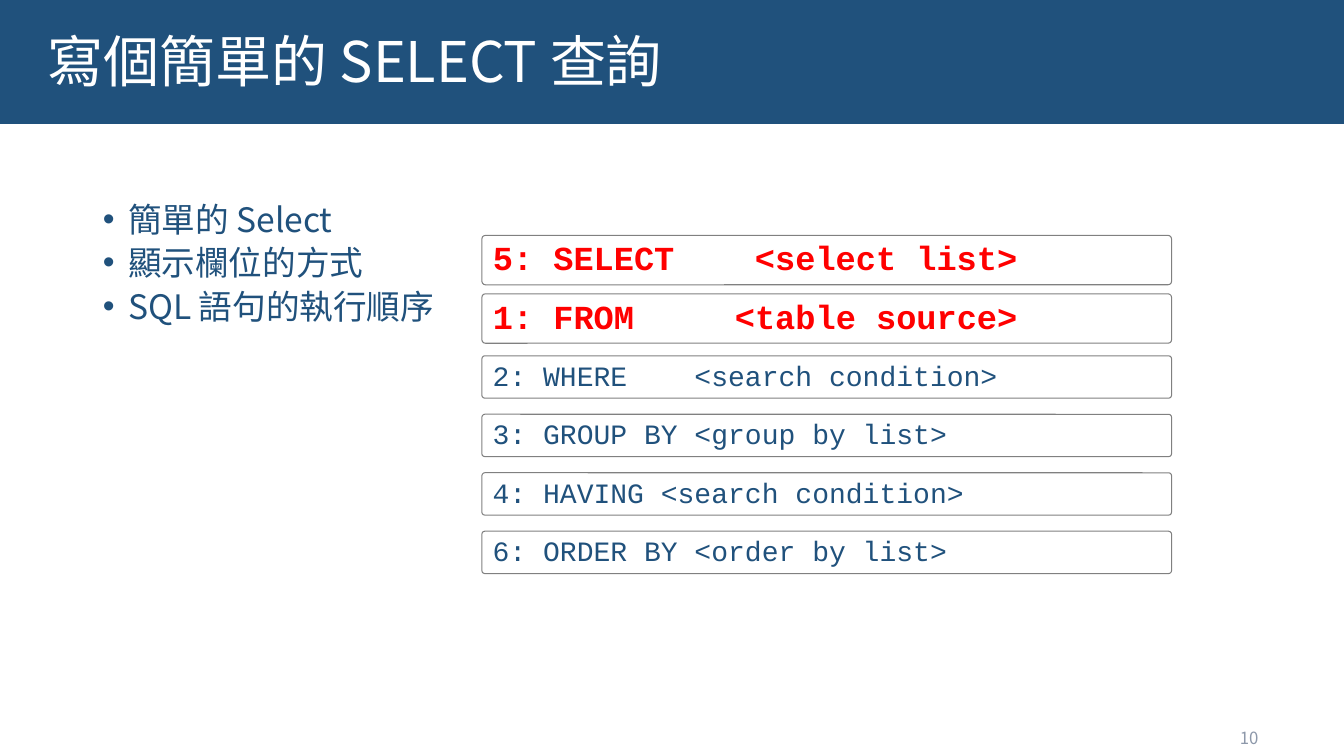
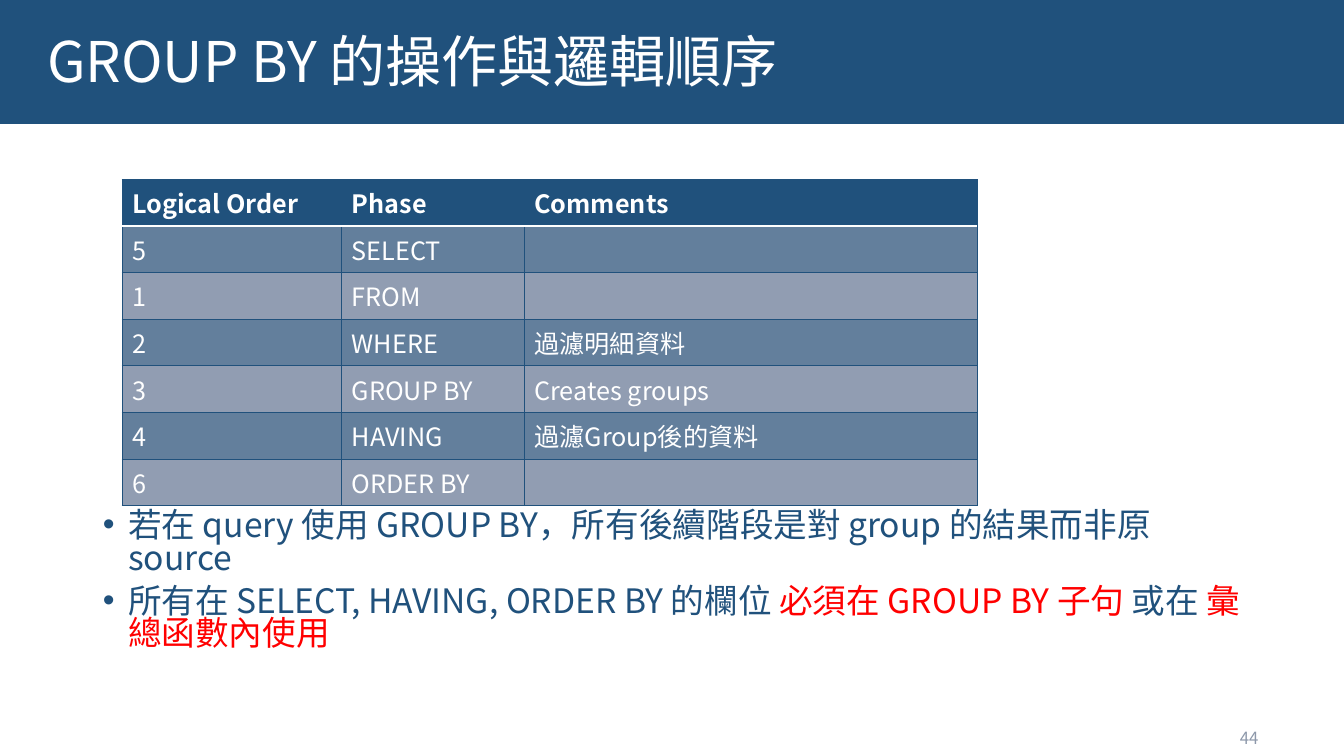
from lxml import etree
from pptx import Presentation
from pptx.dml.color import RGBColor
from pptx.enum.shapes import MSO_SHAPE
from pptx.enum.text import MSO_ANCHOR, MSO_AUTO_SIZE, PP_ALIGN
from pptx.oxml.ns import qn
from pptx.util import Inches, Pt

RECT, ROUNDED = MSO_SHAPE.RECTANGLE, MSO_SHAPE.ROUNDED_RECTANGLE
TOP, MIDDLE = MSO_ANCHOR.TOP, MSO_ANCHOR.MIDDLE
LEFT, RIGHT = PP_ALIGN.LEFT, PP_ALIGN.RIGHT
NO_AUTOFIT = MSO_AUTO_SIZE.NONE

# Shared look
FONT, CODE_FONT = "Noto Sans CJK SC", "Courier New"
NAVY, WHITE, RED = "20517C", "FFFFFF", "FF0000"
GRAY, PAGE_GRAY = "808080", "8D98AA"
ROW_DARK, ROW_LIGHT = "637F9C", "919DB2"
TIGHT_LINES = 0.8

CLAUSES = [
    "5: SELECT\t   <select list>",
    "1: FROM     <table source>",
    "2: WHERE    <search condition>",
    "3: GROUP BY <group by list>",
    "4: HAVING <search condition>",
    "6: ORDER BY <order by list>",
]
KEY_CLAUSES = 2

PHASES = [
    ("Logical Order", "Phase", "Comments"),
    ("5", "SELECT", ""),
    ("1", "FROM", ""),
    ("2", "WHERE", "過濾明細資料"),
    ("3", "GROUP BY", "Creates groups"),
    ("4", "HAVING", "過濾Group後的資料"),
    ("6", "ORDER BY", ""),
]

# Bullets are lists of (text, colour) parts
SELECT_POINTS = [
    [("簡單的 Select", NAVY)],
    [("顯示欄位的方式", NAVY)],
    [("SQL 語句的執行順序", NAVY)],
]
GROUP_POINTS = [
    [("若在 query 使用 GROUP BY，所有後續階段是對 group 的結果而非原source", NAVY)],
    [("所有在 SELECT, HAVING, ORDER BY 的欄位 ", NAVY),
     ("必須在 GROUP BY 子句 ", RED),
     ("或在 ", NAVY),
     ("彙總函數內使用", RED)],
]


def rgb(color):
    return RGBColor.from_string(color)


def style_run(run, size, color, font=FONT, bold=False):
    run.font.size, run.font.bold, run.font.name = Pt(size), bold, font
    run.font.color.rgb = rgb(color)
    east_asian = etree.Element(qn("a:ea"), typeface=font)
    run.font._element.find(qn("a:latin")).addnext(east_asian)


def style_paragraph(paragraph, size, color, align=LEFT, lines=None, **look):
    paragraph.alignment = align
    if lines:
        paragraph.line_spacing = lines
    for run in paragraph.runs:
        style_run(run, size, color, **look)


def place(shape, left, top, width, height):
    shape.left, shape.top = Inches(left), Inches(top)
    shape.width, shape.height = Inches(width), Inches(height)


def set_frame(frame, anchor):
    frame.word_wrap = True
    frame.auto_size = NO_AUTOFIT
    frame.vertical_anchor = anchor


def add_box(slide, kind, box, fill, line=None):
    shape = slide.shapes.add_shape(kind, *map(Inches, box))
    shape.shadow.inherit = False
    shape.fill.solid()
    shape.fill.fore_color.rgb = rgb(fill)
    if line:
        shape.line.color.rgb = rgb(line)
        shape.line.width = Pt(0.75)
    else:
        shape.line.fill.background()
    return shape


def add_base_slide(deck, title, page):
    """Slide with the title band, the title and the page number."""
    slide = deck.slides.add_slide(deck.slide_layouts[1])
    band = add_box(slide, RECT, (-0.03, 0, 13.36, 1.23), NAVY)
    slide.shapes._spTree.insert(2, band._element)

    heading = slide.shapes.title
    place(heading, 0.37, 0.34, 12.6, 0.54)
    heading.text_frame.text = title
    set_frame(heading.text_frame, TOP)
    style_paragraph(heading.text_frame.paragraphs[0], 40, WHITE, lines=TIGHT_LINES)

    number = slide.shapes.add_textbox(*map(Inches, (9.58, 7.12, 3, 0.4)))
    number.text_frame.text = str(page)
    set_frame(number.text_frame, MIDDLE)
    style_paragraph(number.text_frame.paragraphs[0], 12, PAGE_GRAY, RIGHT)
    return slide


def fill_bullets(slide, points, top, height):
    body = slide.placeholders[1]
    place(body, 0.92, top, 11.5, height)
    frame = body.text_frame
    set_frame(frame, TOP)
    for index, parts in enumerate(points):
        paragraph = frame.add_paragraph() if index else frame.paragraphs[0]
        properties = paragraph._p.get_or_add_pPr()
        properties.set("marL", str(Inches(0.25)))
        properties.set("indent", str(-Inches(0.25)))
        etree.SubElement(properties, qn("a:buFont"), typeface="Arial")
        etree.SubElement(properties, qn("a:buChar"), char="•")
        paragraph.alignment = LEFT
        paragraph.line_spacing = TIGHT_LINES
        paragraph.space_before = Pt(8 if index else 0)
        for text, color in parts:
            run = paragraph.add_run()
            run.text = text
            style_run(run, 24, color)


def add_clause(slide, code, middle, is_key):
    height = 0.49 if is_key else 0.42
    box = (4.78, middle - height / 2, 6.84, height)
    clause = add_box(slide, ROUNDED, box, WHITE, GRAY)
    clause.adjustments[0] = 0.07
    clause.text_frame.text = code
    set_frame(clause.text_frame, MIDDLE)
    size, color = (24, RED) if is_key else (20, NAVY)
    style_paragraph(clause.text_frame.paragraphs[0], size, color,
                    lines=0.9, font=CODE_FONT, bold=is_key)


def set_border(cell, side, color, width):
    line = etree.SubElement(cell._tc.get_or_add_tcPr(), qn(f"a:ln{side}"),
                            w=str(Pt(width)))
    fill = etree.SubElement(line, qn("a:solidFill"))
    etree.SubElement(fill, qn("a:srgbClr"), val=color)


def add_phase_table(slide, rows, left, top, widths, row_height):
    size = (sum(widths), row_height * len(rows))
    table = slide.shapes.add_table(len(rows), len(widths),
                                   *map(Inches, (left, top, *size))).table
    for column, width in zip(table.columns, widths):
        column.width = Inches(width)
    for r, values in enumerate(rows):
        table.rows[r].height = Inches(row_height)
        fill = NAVY if r == 0 else ROW_DARK if r % 2 else ROW_LIGHT
        # A white rule parts the header from the rows
        white_side = {0: "B", 1: "T"}.get(r)
        for c, value in enumerate(values):
            cell = table.cell(r, c)
            for side in "LRTB":
                is_white = side == white_side
                set_border(cell, side, WHITE if is_white else NAVY,
                           1 if is_white else 0.5)
            cell.fill.solid()
            cell.fill.fore_color.rgb = rgb(fill)
            cell.text_frame.text = value
            paragraph = cell.text_frame.paragraphs[0]
            paragraph.font.size = Pt(18)
            style_paragraph(paragraph, 18, WHITE, bold=r == 0)


def build_select_slide(deck):
    slide = add_base_slide(deck, "寫個簡單的 SELECT 查詢", 10)
    fill_bullets(slide, SELECT_POINTS, 2, 4.76)
    for index, code in enumerate(CLAUSES):
        add_clause(slide, code, 2.58 + 0.58 * index, index < KEY_CLAUSES)


def build_group_slide(deck):
    slide = add_base_slide(deck, "GROUP BY 的操作與邏輯順序", 44)
    fill_bullets(slide, GROUP_POINTS, 5.03, 1.73)
    add_phase_table(slide, PHASES, 1.21, 1.78, (2.18, 1.81, 4.49), 0.46)


def main():
    deck = Presentation()
    deck.slide_width, deck.slide_height = Inches(13.33), Inches(7.5)
    build_select_slide(deck)
    build_group_slide(deck)
    deck.save("out.pptx")


if __name__ == "__main__":
    main()
